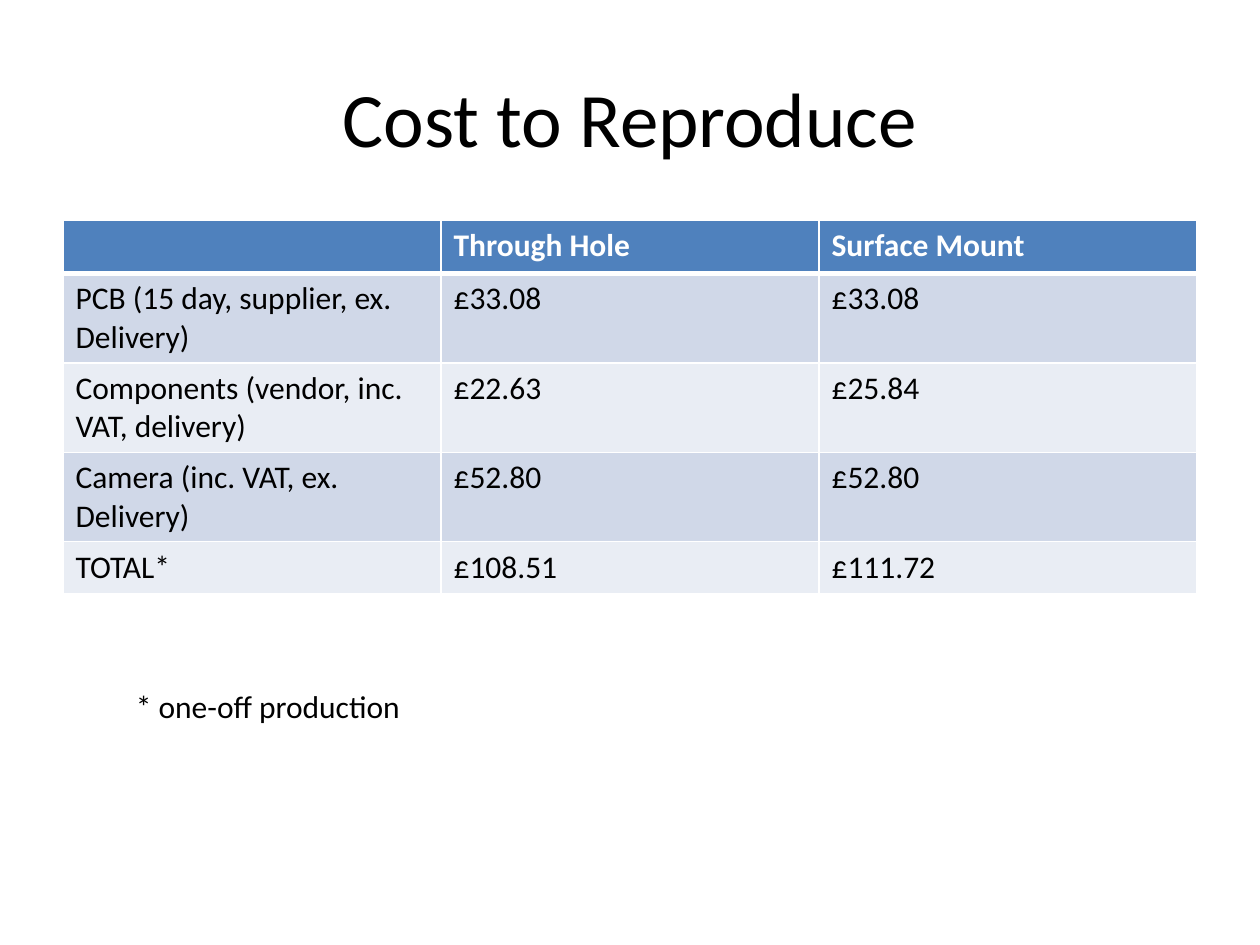
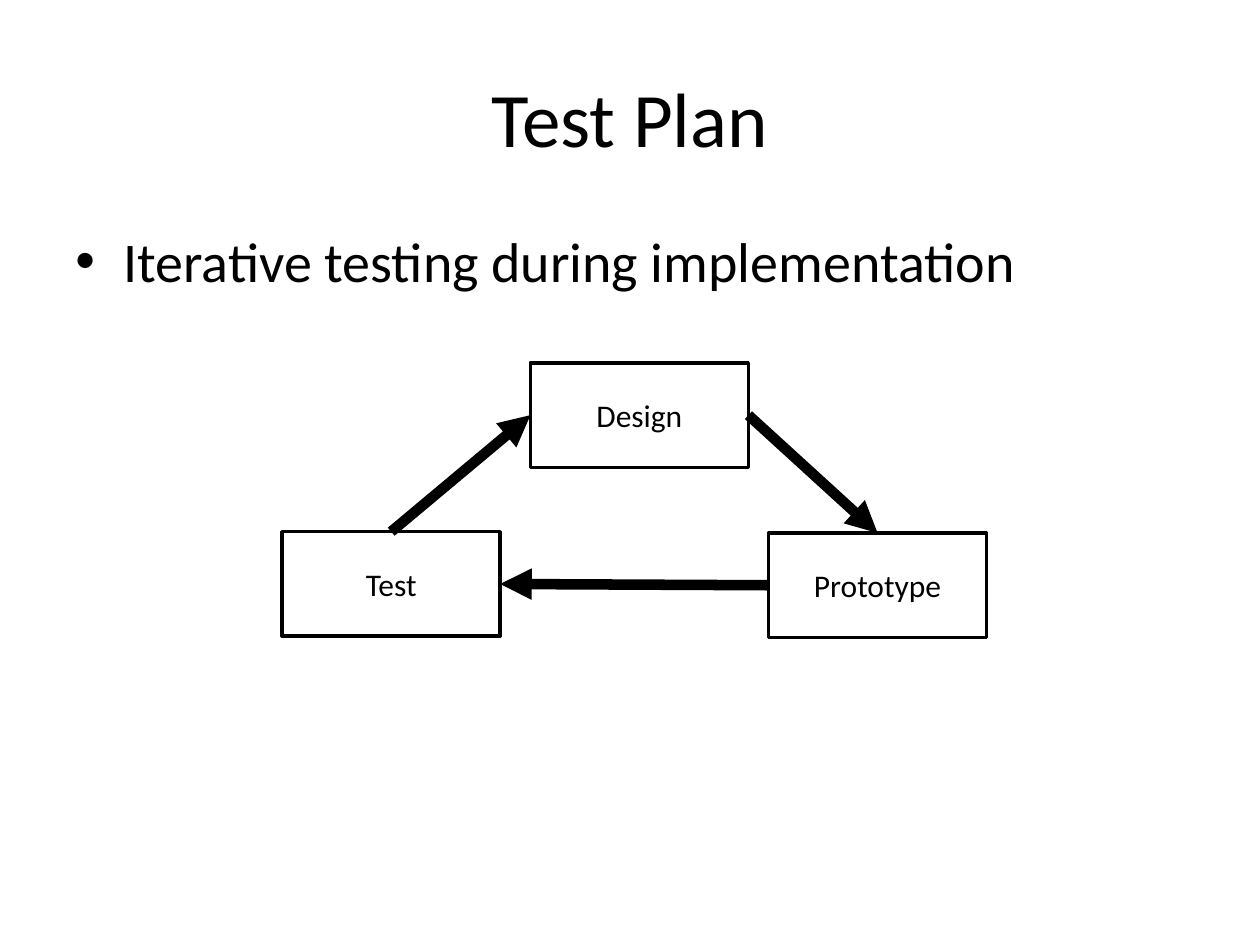
import pptx
import pptx.util
import pptx.dml.color
import pptx.enum.shapes
import pptx.enum.text
import pptx.oxml.ns
from lxml import etree

Inches, Pt = pptx.util.Inches, pptx.util.Pt
Align, Anchor = pptx.enum.text.PP_ALIGN, pptx.enum.text.MSO_ANCHOR

FONT = "Calibri"
BLACK, WHITE = "000000", "FFFFFF"
HEAD, BANDS = "4F81BD", ("D0D8E8", "E9EDF4")
MARGIN, WIDTH, BODY_TOP = 0.5, 9, 1.75

COSTS = [
    ("", "Through Hole", "Surface Mount"),
    ("PCB (15 day, supplier, ex. Delivery)", "£33.08", "£33.08"),
    ("Components (vendor, inc. VAT, delivery)", "£22.63", "£25.84"),
    ("Camera (inc. VAT, ex. Delivery)", "£52.80", "£52.80"),
    ("TOTAL*", "£108.51", "£111.72"),
]
HEIGHTS = (0.42, 0.71, 0.71, 0.71, 0.41)
NOTE = "* one-off production"

POINT = "Iterative testing during implementation"
BOX = (1.73, 0.83)
STEPS = {"Design": (4.21, 2.88), "Prototype": (6.1, 4.23), "Test": (2.24, 4.22)}
TOP, LEFT, RIGHT = 0, 1, 3  # connection sites of a rectangle
ARROWS = [
    ("Design", RIGHT, "Prototype", TOP),
    ("Prototype", LEFT, "Test", RIGHT),
    ("Test", TOP, "Design", LEFT),
]


def color(code):
    return pptx.dml.color.RGBColor.from_string(code)


def add(parent, tag, **attrs):
    """Append a DrawingML element, given its local name."""
    return etree.SubElement(parent, pptx.oxml.ns.qn("a:" + tag), attrs)


def write(frame, text, size=18, ink=BLACK, bold=False, align=Align.LEFT):
    frame.text = text
    para = frame.paragraphs[0]
    para.alignment = align
    for run in para.runs:
        font = run.font
        font.name, font.size, font.bold = FONT, Pt(size), bold
        font.color.rgb = color(ink)
    return para


def label(slide, area, text, size=18, align=Align.LEFT, anchor=Anchor.TOP):
    frame = slide.shapes.add_textbox(*map(Inches, area)).text_frame
    frame.word_wrap = True
    frame.vertical_anchor = anchor
    return write(frame, text, size, align=align)


def start(deck, title):
    """Add a blank slide with the shared title style."""
    slide = deck.slides.add_slide(deck.slide_layouts[6])
    area = (MARGIN, 0.3, WIDTH, 1.25)
    label(slide, area, title, 44, Align.CENTER, Anchor.MIDDLE)
    return slide


def edge(cell, head):
    """Draw white cell borders, with a thick one under the header."""
    props = cell._tc.get_or_add_tcPr()
    widths = {"lnL": 1, "lnR": 1, "lnT": 1, "lnB": 3 if head else 1}
    for spot, (tag, width) in enumerate(widths.items()):
        line = add(props, tag, w=str(Pt(width)))
        add(add(line, "solidFill"), "srgbClr", val=WHITE)
        props.insert(spot, line)


def cost_table(slide):
    area = (MARGIN, BODY_TOP, WIDTH, sum(HEIGHTS))
    table = slide.shapes.add_table(
        len(COSTS), len(COSTS[0]), *map(Inches, area)).table
    for r, (row, height) in enumerate(zip(COSTS, HEIGHTS)):
        table.rows[r].height = Inches(height)
        head = r == 0
        for c, text in enumerate(row):
            cell = table.cell(r, c)
            cell.fill.solid()
            cell.fill.fore_color.rgb = color(HEAD if head else BANDS[(r - 1) % 2])
            edge(cell, head)
            write(cell.text_frame, text, ink=WHITE if head else BLACK, bold=head)


def step_box(slide, name, place):
    box = slide.shapes.add_shape(
        pptx.enum.shapes.MSO_SHAPE.RECTANGLE, *map(Inches, place + BOX))
    box.shadow.inherit = False
    box.fill.background()
    box.line.color.rgb = color(BLACK)
    box.line.width = Pt(2)
    box.text_frame.vertical_anchor = Anchor.MIDDLE
    write(box.text_frame, name, align=Align.CENTER)
    return box


def arrow(slide, source, out, target, into):
    link = slide.shapes.add_connector(
        pptx.enum.shapes.MSO_CONNECTOR.STRAIGHT, 0, 0, 0, 0)
    link.begin_connect(source, out)
    link.end_connect(target, into)
    link.line.color.rgb = color(BLACK)
    link.line.width = Pt(6)
    add(link.line._get_or_add_ln(), "tailEnd", type="triangle")
    add(link._element.spPr, "effectLst")


def cost_slide(deck):
    slide = start(deck, "Cost to Reproduce")
    cost_table(slide)
    label(slide, (0.98, 5.4, 2.44, 0.4), NOTE)


def plan_slide(deck):
    slide = start(deck, "Test Plan")
    para = label(slide, (MARGIN, BODY_TOP, WIDTH, 4.95), POINT, 32)
    para.space_before = Pt(6.4)
    props = para._p.get_or_add_pPr()
    indent = Inches(0.38)
    props.set("marL", str(indent))
    props.set("indent", str(-indent))
    add(props, "buFont", typeface="Arial")
    add(props, "buChar", char="•")
    boxes = {name: step_box(slide, name, place) for name, place in STEPS.items()}
    for source, out, target, into in ARROWS:
        arrow(slide, boxes[source], out, boxes[target], into)


def main():
    deck = pptx.Presentation()
    deck.slide_width, deck.slide_height = Inches(10), Inches(7.5)
    cost_slide(deck)
    plan_slide(deck)
    deck.save("out.pptx")


if __name__ == "__main__":
    main()
